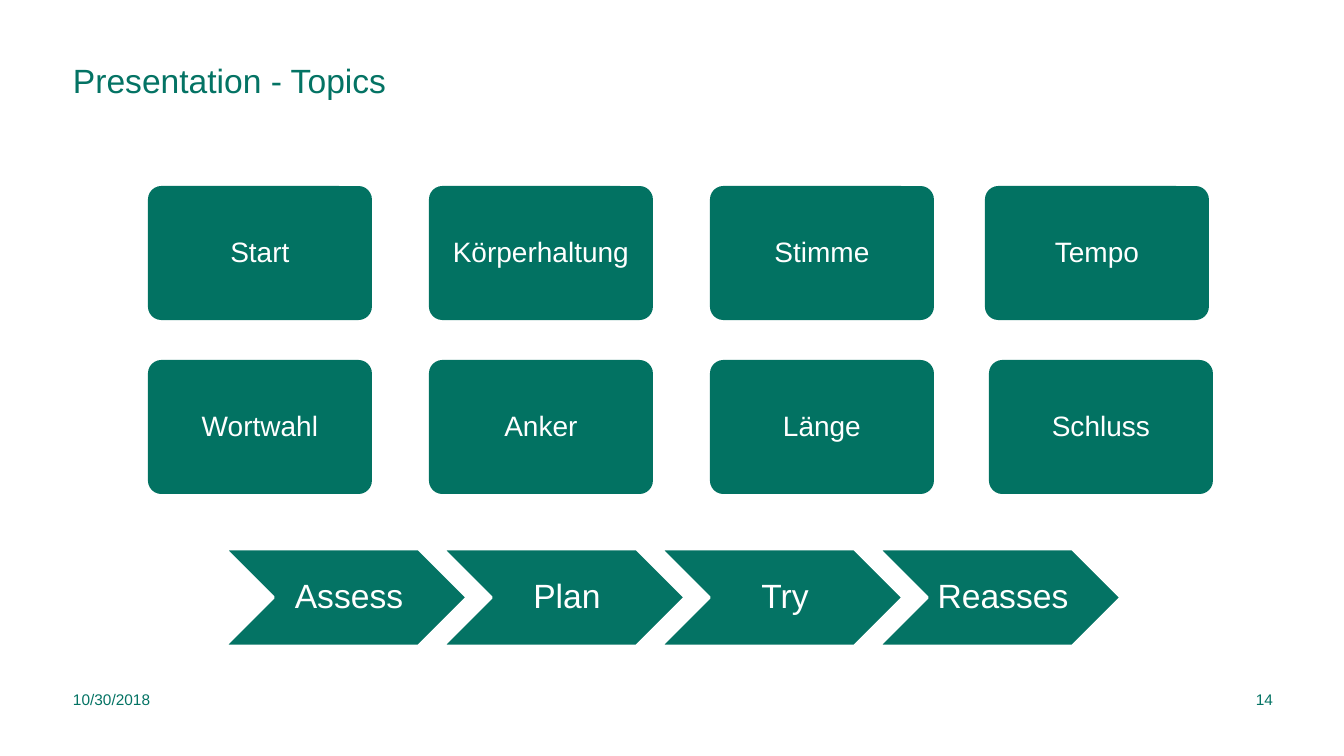
from dataclasses import dataclass

from pptx import Presentation
from pptx.dml.color import RGBColor
from pptx.enum.shapes import MSO_SHAPE as SHAPE
from pptx.enum.text import MSO_ANCHOR as ANCHOR, PP_ALIGN as ALIGN
from pptx.util import Emu, Pt

EMU_PER_PX = 914400 / 100.8


@dataclass(frozen=True)
class Theme:
    font: str = "Arial"
    green: str = "047364"
    card: str = "027262"
    white: str = "FFFFFF"
    title_size: int = 24
    card_size: int = 20
    step_size: int = 24
    footer_size: int = 11


THEME = Theme()
CARD_ROWS = [
    (["Start", "Körperhaltung", "Stimme", "Tempo"], 985),
    (["Wortwahl", "Anker", "Länge", "Schluss"], 989),
]
STEPS = ["Assess", "Plan", "Try", "Reasses"]


def px(n):
    return Emu(round(n * EMU_PER_PX))


def rgb(color):
    return RGBColor.from_string(color)


def write(sp, text, *, size, color, align=ALIGN.LEFT, anchor=ANCHOR.MIDDLE,
          insets=(0, 0, 0, 0), spacing=None):
    """Fill a shape with one paragraph; insets are left, top, right, bottom."""
    tf = sp.text_frame
    tf.word_wrap = True
    tf.vertical_anchor = anchor
    tf.margin_left, tf.margin_top, tf.margin_right, tf.margin_bottom = map(px, insets)
    p = tf.paragraphs[0]
    p.alignment = align
    p.line_spacing = spacing
    r = p.add_run()
    r.text = text
    r.font.name = THEME.font
    r.font.size = Pt(size)
    r.font.color.rgb = rgb(color)


def add_text(s, box, text, **fmt):
    write(s.shapes.add_textbox(*map(px, box)), text, **fmt)


def add_filled(s, kind, box, fill, line=None):
    sp = s.shapes.add_shape(kind, *map(px, box))
    sp.shadow.inherit = False
    sp.fill.solid()
    sp.fill.fore_color.rgb = rgb(fill)
    if line:
        sp.line.color.rgb = rgb(line)
        sp.line.width = Pt(2)
    else:
        sp.line.fill.background()
    return sp


def add_title(s, box):
    add_text(s, box, "Presentation - Topics", size=THEME.title_size,
             color=THEME.green, anchor=ANCHOR.TOP, insets=(0, 0, 0, 4), spacing=0.9)


def add_topic_cards(s, left, top):
    """Rows of cards on an even pitch; each row sets its own last card."""
    width, height, col_pitch, row_pitch = 224, 134, 281, 174
    for row, (topics, last_left) in enumerate(CARD_ROWS):
        lefts = [left + col * col_pitch for col in range(len(topics) - 1)] + [last_left]
        for x, topic in zip(lefts, topics):
            box = (x, top + row * row_pitch, width, height)
            sp = add_filled(s, SHAPE.ROUNDED_RECTANGLE, box, THEME.card)
            sp.adjustments[0] = 0.1
            write(sp, topic, size=THEME.card_size, color=THEME.white,
                  align=ALIGN.CENTER, insets=(10, 10, 10, 10), spacing=0.9)


def add_steps(s, left, top):
    width, height, pitch = 242, 97, 218
    for i, step in enumerate(STEPS):
        box = (left + i * pitch, top, width, height)
        sp = add_filled(s, SHAPE.CHEVRON, box, THEME.green, THEME.white)
        write(sp, step, size=THEME.step_size, color=THEME.white,
              align=ALIGN.CENTER, insets=(8, 4, 2, 4), spacing=0.9)


def add_footer(s, left, top, width):
    height, date_width, number_width = 33, 199, 59
    fmt = dict(size=THEME.footer_size, color=THEME.green)
    add_text(s, (left, top, date_width, height), "10/30/2018", **fmt)
    add_text(s, (left + width - number_width, top, number_width, height), "14",
             align=ALIGN.RIGHT, **fmt)


def main():
    prs = Presentation()
    prs.slide_width, prs.slide_height = px(1344), px(756)
    s = prs.slides.add_slide(prs.slide_layouts[6])
    add_title(s, (73, 64, 853, 99))
    add_topic_cards(s, 148, 186)
    add_steps(s, 225, 549)
    add_footer(s, 73, 683, 1200)
    prs.save("out.pptx")


if __name__ == "__main__":
    main()
